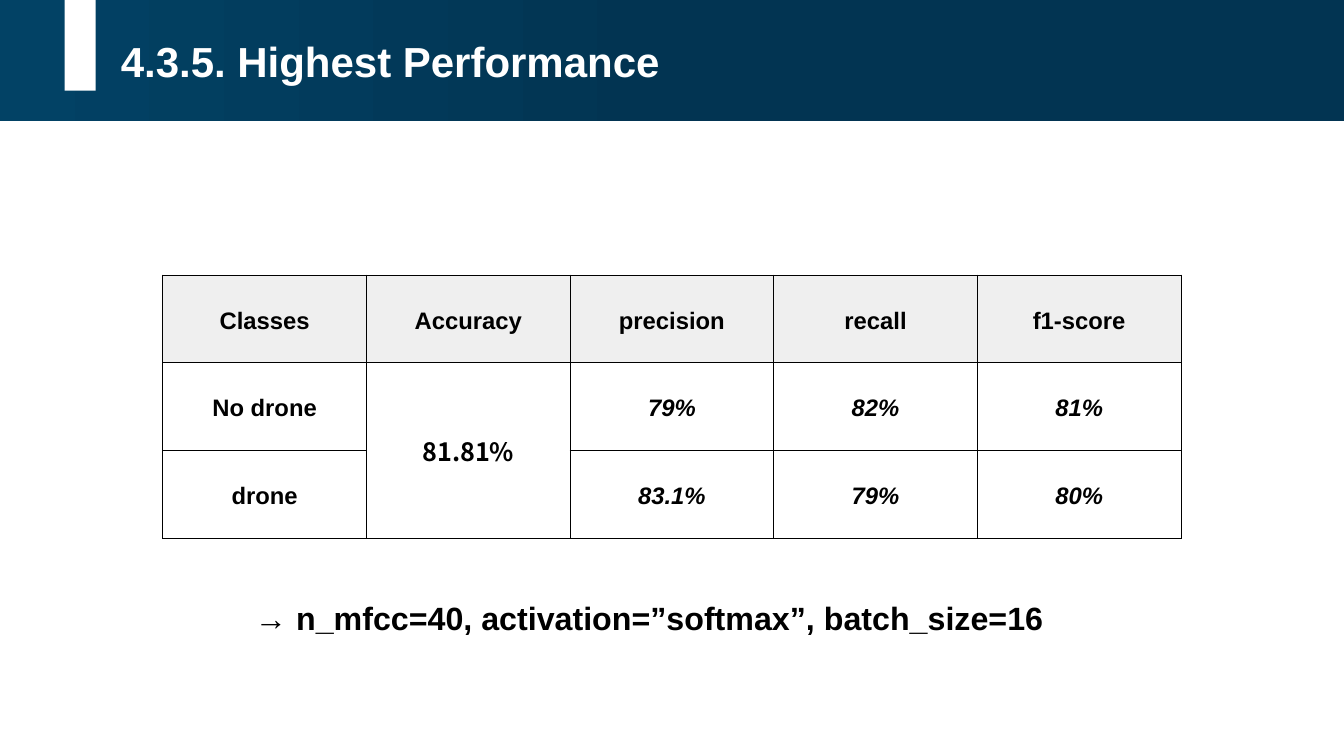
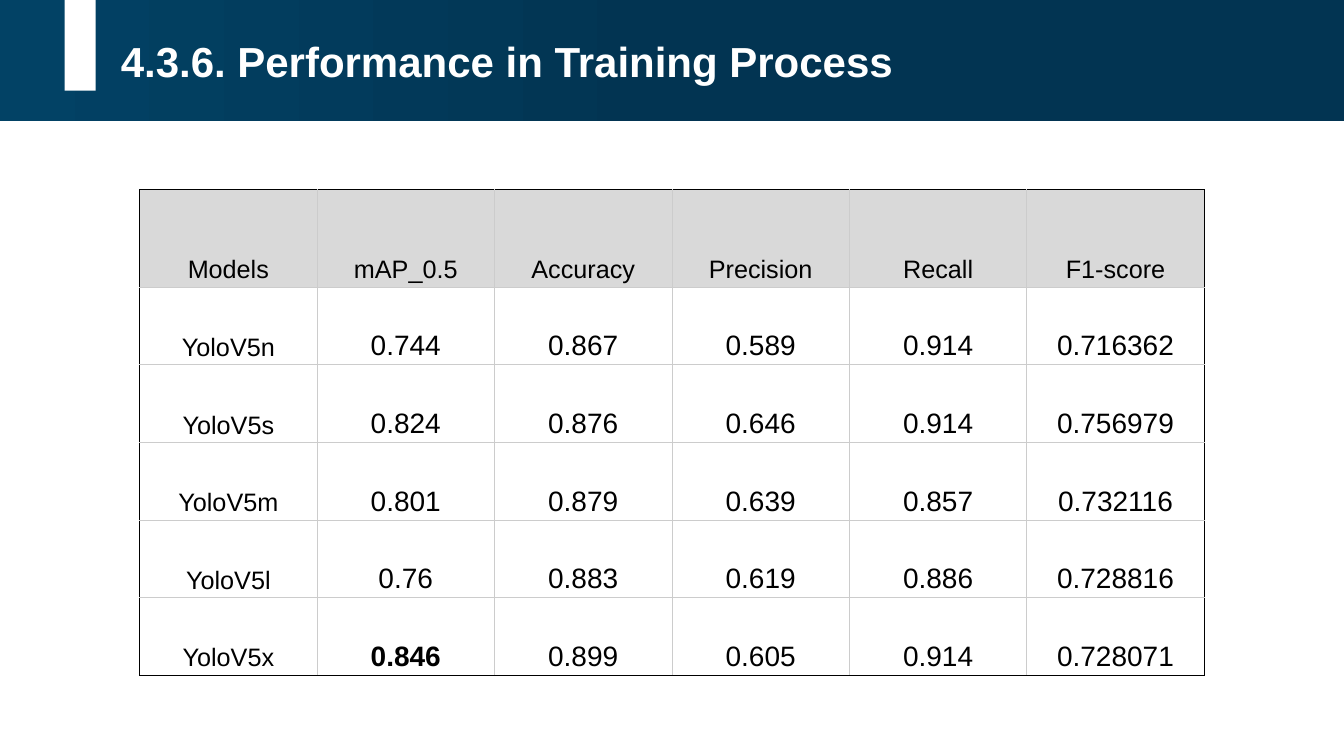
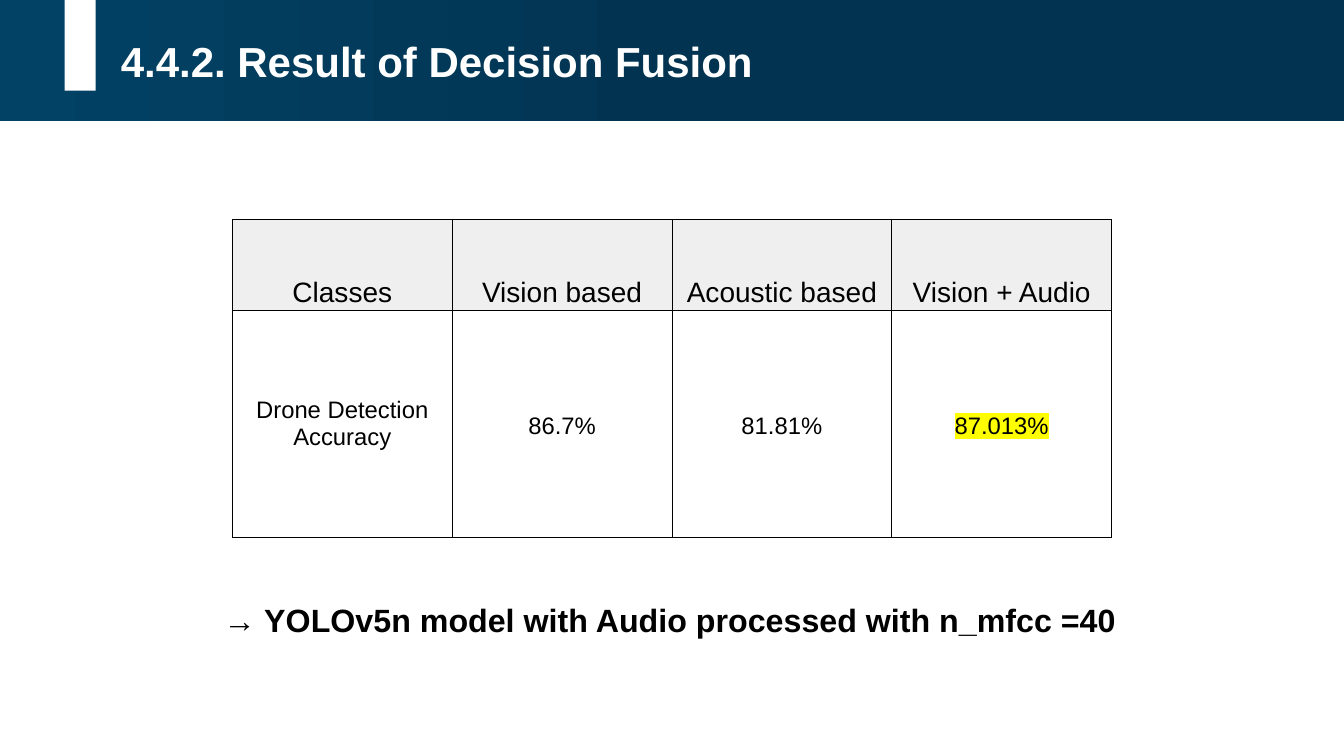
from copy import deepcopy
from dataclasses import dataclass, replace

from lxml import etree
from pptx import Presentation
from pptx.dml.color import RGBColor
from pptx.enum.shapes import MSO_SHAPE
from pptx.enum.text import MSO_ANCHOR, MSO_AUTO_SIZE, PP_ALIGN
from pptx.oxml.ns import qn
from pptx.util import Inches, Pt

RECTANGLE = MSO_SHAPE.RECTANGLE
CENTER = PP_ALIGN.CENTER
MIDDLE = MSO_ANCHOR.MIDDLE
BOTTOM = MSO_ANCHOR.BOTTOM
GROW = MSO_AUTO_SIZE.SHAPE_TO_FIT_TEXT


@dataclass(frozen=True)
class Theme:
    width: float = 13.33
    height: float = 7.5
    font: str = "Arial"
    number_font: str = "Noto Sans CJK KR"
    navy: str = "023452"
    teal: str = "024265"
    white: str = "FFFFFF"
    black: str = "000000"
    pale: str = "EFEFEF"
    grey: str = "D9D9D9"
    rule: str = "CCCCCC"
    yellow: str = "FFFF00"
    title: int = 30
    note: int = 23
    large: int = 20
    medium: int = 18
    small: int = 17
    border: float = 0.75


THEME = Theme()


@dataclass(frozen=True)
class Look:
    size: int
    bold: bool = False
    italic: bool = False
    font: str = THEME.font
    anchor: MSO_ANCHOR = MIDDLE
    spacing: float = 1.15
    fill: str = ""
    highlight: str = ""


def rgb(value):
    return RGBColor.from_string(value)


def add_color(parent, tag, value):
    holder = etree.SubElement(parent, qn(tag))
    etree.SubElement(holder, qn("a:srgbClr"), val=value)


class Deck:
    def __init__(self, theme):
        self.theme = theme
        self.presentation = Presentation()
        self.presentation.slide_width = Inches(theme.width)
        self.presentation.slide_height = Inches(theme.height)
        self.slide = None

    def start(self, title, title_width):
        theme = self.theme
        self.slide = self.presentation.slides.add_slide(self.presentation.slide_layouts[6])
        band = self.rectangle(0, 0, theme.width, 1.2)
        self.gradient(band, (theme.navy, theme.navy, theme.teal))
        self.text(title, 1.1, 0.3, title_width, 0.61, theme.title, theme.white)
        marker = self.rectangle(0.64, 0, 0.31, 0.9)
        marker.fill.solid()
        marker.fill.fore_color.rgb = rgb(theme.white)

    def rectangle(self, left, top, width, height):
        box = self.slide.shapes.add_shape(
            RECTANGLE, Inches(left), Inches(top), Inches(width), Inches(height))
        box.shadow.inherit = False
        box.line.fill.background()
        return box

    def gradient(self, shape, colors):
        shape.fill.gradient()
        shape.fill.gradient_angle = 180
        stop_list = shape._element.spPr.find(".//" + qn("a:gsLst"))
        stop_list.insert(1, deepcopy(stop_list[0]))
        for index, (stop, color) in enumerate(zip(shape.fill.gradient_stops, colors)):
            stop.color.rgb = rgb(color)
            stop.position = index / (len(colors) - 1)

    def set_font(self, paragraph, name, size, color, bold, italic=False):
        font = paragraph.font
        font.name = name
        font.size = Pt(size)
        font.bold = bold
        font.italic = italic
        font.color.rgb = rgb(color)

    def text(self, words, left, top, width, height, size, color):
        frame = self.slide.shapes.add_textbox(
            Inches(left), Inches(top), Inches(width), Inches(height)).text_frame
        frame.word_wrap = True
        frame.auto_size = GROW
        paragraph = frame.paragraphs[0]
        paragraph.text = words
        self.set_font(paragraph, self.theme.font, size, color, True)

    def note(self, words, left, top, width):
        self.text(words, left, top, width, 0.49, self.theme.note, self.theme.black)

    def table(self, top, column_width, heights, rows, looks, inner, padding):
        columns = len(rows[0])
        width = columns * column_width
        table = self.slide.shapes.add_table(
            len(rows), columns, Inches((self.theme.width - width) / 2), Inches(top),
            Inches(width), Inches(sum(heights))).table
        table.first_row = False
        table.horz_banding = False
        for column in table.columns:
            column.width = Inches(column_width)
        last_row, last_column = len(rows) - 1, columns - 1
        for y, (texts, row_looks) in enumerate(zip(rows, looks)):
            table.rows[y].height = Inches(heights[y])
            for x, (words, look) in enumerate(zip(texts, row_looks)):
                cell = table.cell(y, x)
                outer_sides = {"L": x == 0, "R": x == last_column,
                               "T": y == 0, "B": y == last_row}
                self.borders(cell, outer_sides, inner)
                self.fill_cell(cell, words, look, padding)
        return table

    def borders(self, cell, outer_sides, inner):
        properties = cell._tc.get_or_add_tcPr()
        for side, is_outer in outer_sides.items():
            line = etree.SubElement(properties, qn("a:ln" + side),
                                    w=str(Pt(self.theme.border)))
            add_color(line, "a:solidFill", self.theme.black if is_outer else inner)

    def fill_cell(self, cell, words, look, padding):
        if look.fill:
            cell.fill.solid()
            cell.fill.fore_color.rgb = rgb(look.fill)
        else:
            cell.fill.background()
        cell.vertical_anchor = look.anchor
        cell.margin_left = cell.margin_right = Inches(0.03)
        cell.margin_top = cell.margin_bottom = Inches(padding)
        if not words:
            return
        paragraph = cell.text_frame.paragraphs[0]
        paragraph.alignment = CENTER
        paragraph.line_spacing = look.spacing
        run = paragraph.add_run()
        run.text = words
        self.set_font(paragraph, look.font, look.size, self.theme.black, look.bold, look.italic)
        if look.highlight:
            add_color(run._r.get_or_add_rPr(), "a:highlight", look.highlight)


def highest_performance(deck):
    theme = deck.theme
    deck.start("4.3.5. Highest Performance", 6.33)
    label = Look(theme.small, bold=True)
    head = replace(label, fill=theme.pale)
    score = replace(label, italic=True)
    accuracy = Look(theme.medium, bold=True, font=theme.number_font, spacing=1.0)
    body = [label, accuracy] + [score] * 3
    results = deck.table(
        2.73, 2.02, [0.87] * 3,
        [["Classes", "Accuracy", "precision", "recall", "f1-score"],
         ["No drone", "81.81%", "79%", "82%", "81%"],
         ["drone", "", "83.1%", "79%", "80%"]],
        [[head] * 5, body, body], theme.black, 0.02)
    results.cell(1, 1).merge(results.cell(2, 1))
    deck.note("→ n_mfcc=40, activation=”softmax”, batch_size=16", 2.43, 5.89, 8.48)


def training_performance(deck):
    theme = deck.theme
    deck.start("4.3.6. Performance in Training Process", 11.97)
    model = Look(theme.medium, anchor=BOTTOM)
    head = replace(model, fill=theme.grey)
    score = replace(model, size=theme.large)
    best = replace(score, bold=True)
    deck.table(
        1.88, 1.76, [0.97] + [0.77] * 5,
        [["Models", "mAP_0.5", "Accuracy", "Precision", "Recall", "F1-score"],
         ["YoloV5n", "0.744", "0.867", "0.589", "0.914", "0.716362"],
         ["YoloV5s", "0.824", "0.876", "0.646", "0.914", "0.756979"],
         ["YoloV5m", "0.801", "0.879", "0.639", "0.857", "0.732116"],
         ["YoloV5l", "0.76", "0.883", "0.619", "0.886", "0.728816"],
         ["YoloV5x", "0.846", "0.899", "0.605", "0.914", "0.728071"]],
        [[head] * 6] + [[model] + [score] * 5] * 4 + [[model, best] + [score] * 4],
        theme.rule, 0.03)


def decision_fusion(deck):
    theme = deck.theme
    deck.start("4.4.2. Result of Decision Fusion", 7.21)
    head = Look(theme.large, anchor=BOTTOM, fill=theme.pale)
    score = Look(theme.small)
    label = replace(score, spacing=1.0)
    best = replace(score, highlight=theme.yellow)
    deck.table(
        2.18, 2.18, [0.9, 2.25],
        [["Classes", "Vision based", "Acoustic based", "Vision + Audio"],
         ["Drone Detection Accuracy", "86.7%", "81.81%", "87.013%"]],
        [[head] * 4, [label, score, score, best]], theme.black, 0.02)
    deck.note("→ YOLOv5n model with Audio processed with n_mfcc =40", 2.12, 5.91, 9.26)


def main():
    deck = Deck(THEME)
    highest_performance(deck)
    training_performance(deck)
    decision_fusion(deck)
    deck.presentation.save("out.pptx")


if __name__ == "__main__":
    main()
